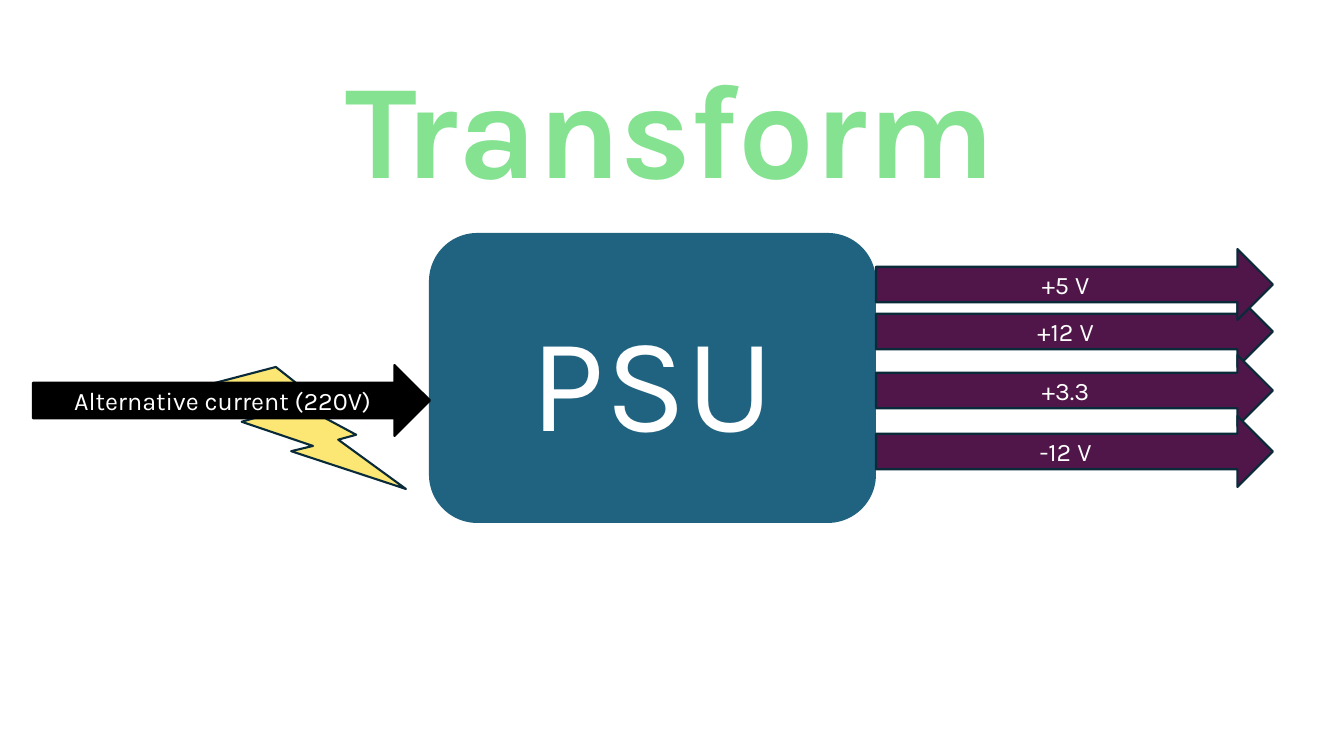
from pptx import Presentation
from pptx.dml.color import RGBColor
from pptx.enum.shapes import MSO_SHAPE
from pptx.enum.text import MSO_ANCHOR, PP_ALIGN
from pptx.util import Emu, Pt

ROUNDED = MSO_SHAPE.FLOWCHART_ALTERNATE_PROCESS
BOLT = MSO_SHAPE.LIGHTNING_BOLT
ARROW = MSO_SHAPE.RIGHT_ARROW
MIDDLE = MSO_ANCHOR.MIDDLE
LEFT = PP_ALIGN.LEFT
CENTER = PP_ALIGN.CENTER

SLIDE_WIDTH, SLIDE_HEIGHT = 1344, 756
EMU_PER_PX = 12192000 / SLIDE_WIDTH
FONT = "Karla"
COLORS = {
    "unit": "206380",
    "bolt": "FCE775",
    "input": "000000",
    "output": "501649",
    "outline": "092A39",
    "label": "FFFFFF",
    "title": "84E291",
}
ARROW_WIDTH, ARROW_HEIGHT = 397, 71
OUTPUT_LEFT = 876
OUTPUTS = [("+12 V", 296), ("+3.3", 355), ("-12 V", 416), ("+5 V", 249)]


def px(length):
    return Emu(round(length * EMU_PER_PX))


def color(name):
    return RGBColor.from_string(COLORS[name])


def write(shape, text, size=18, fill="label", bold=False, align=CENTER):
    para = shape.text_frame.paragraphs[0]
    para.alignment = align
    span = para.add_run()
    span.text = text
    span.font.name = FONT
    span.font.size = Pt(size)
    span.font.bold = bold
    span.font.color.rgb = color(fill)


def add_block(page, kind, left, top, width, height, fill, outline=None):
    shape = page.shapes.add_shape(kind, px(left), px(top), px(width), px(height))
    shape.shadow.inherit = False
    shape.fill.solid()
    shape.fill.fore_color.rgb = color(fill)
    if outline:
        shape.line.color.rgb = color(outline)
        shape.line.width = Pt(1.5)
    else:
        shape.line.fill.background()
    shape.text_frame.word_wrap = True
    shape.text_frame.vertical_anchor = MIDDLE
    return shape


def add_arrow(page, text, left, top, fill, outline):
    arrow = add_block(page, ARROW, left, top, ARROW_WIDTH, ARROW_HEIGHT, fill, outline)
    write(arrow, text)


def add_title(page, text):
    box = page.shapes.add_textbox(px(336), px(39), px(698), px(173))
    box.text_frame.word_wrap = True
    write(box, text, size=96, fill="title", bold=True, align=LEFT)


def main():
    deck = Presentation()
    deck.slide_width = px(SLIDE_WIDTH)
    deck.slide_height = px(SLIDE_HEIGHT)
    page = deck.slides.add_slide(deck.slide_layouts[6])

    unit = add_block(page, ROUNDED, 429, 233, 447, 290, "unit")
    write(unit, "PSU", size=96)
    add_block(page, BOLT, 192, 367, 214, 122, "bolt", "outline")
    add_arrow(page, "Alternative current (220V)", 33, 365, "input", "input")
    for text, top in OUTPUTS:
        add_arrow(page, text, OUTPUT_LEFT, top, "output", "outline")
    add_title(page, "Transform")

    deck.save("out.pptx")


if __name__ == "__main__":
    main()
